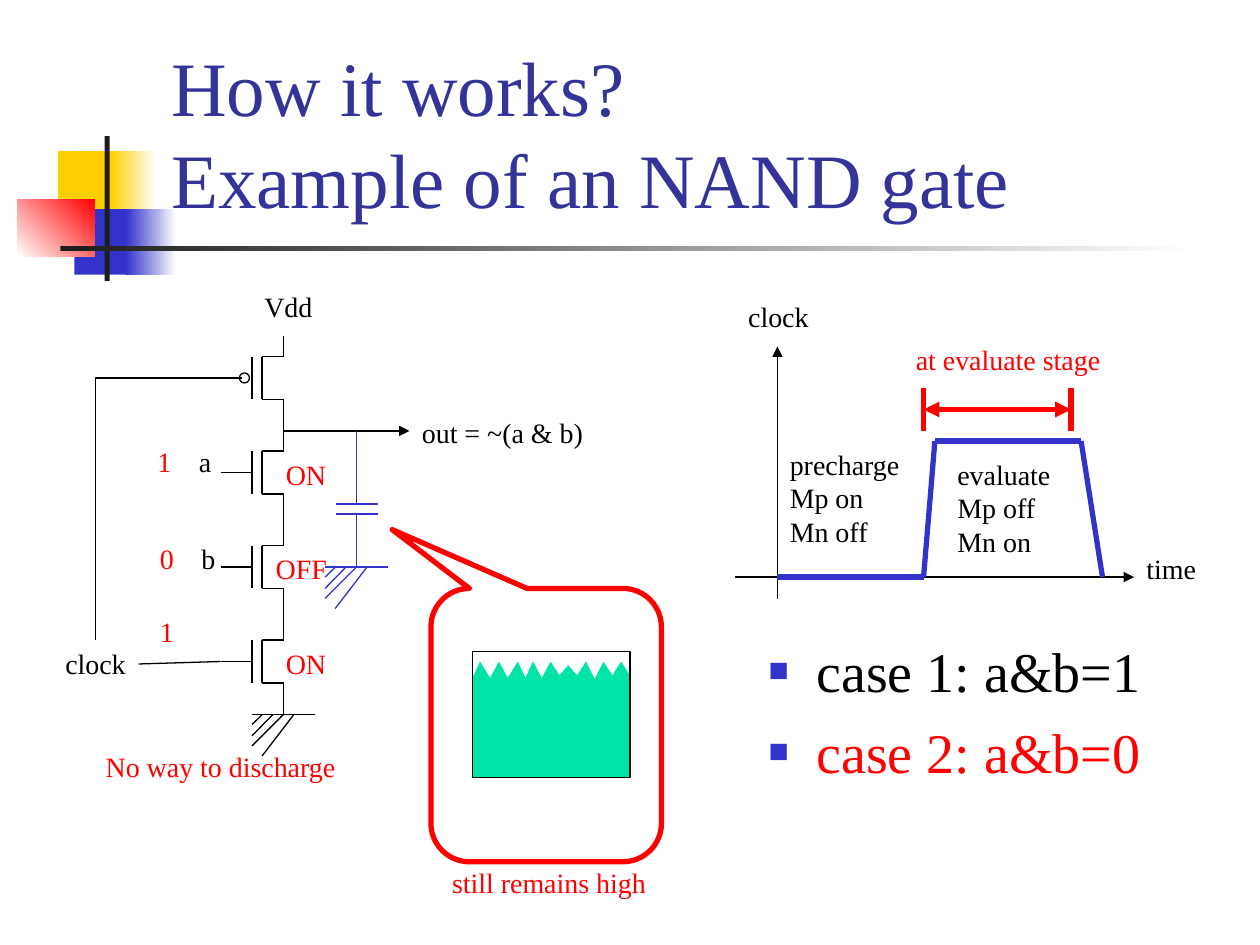
from lxml import etree
from pptx import Presentation
from pptx import util as u
from pptx.dml.color import RGBColor
from pptx.enum import shapes, text
from pptx.oxml.ns import qn

C = {"black": "000000", "white": "FFFFFF", "red": "FF0000", "blue": "3333CC",
     "title": "333399", "gold": "FFCF01", "dark": "1C1C1C", "water": "00E4A8"}
FONT = "Times New Roman"
SHAPE = shapes.MSO_SHAPE
THIN, THICK = 0.75, 3
LABEL_SLACK = 0.06  # spare width that keeps each label line whole


def rgb(name):
    return RGBColor.from_string(C[name])


def sub(parent, tag, **attrs):
    return etree.SubElement(parent, qn(tag), attrs)


def add_run(p, words, size, color):
    r = p.add_run()
    r.text = words
    r.font.name, r.font.size = FONT, u.Pt(size)
    r.font.color.rgb = rgb(color)


def add_line(box, start, end, color="black", width=THIN, head=False, tail=False,
             kind=shapes.MSO_CONNECTOR.STRAIGHT):
    c = box.shapes.add_connector(kind, *map(u.Inches, start + end))
    c.line.color.rgb = rgb(color)
    c.line.width = u.Pt(width)
    ln = c.element.spPr.find(qn("a:ln"))
    if head:
        sub(ln, "a:headEnd", type="triangle")
    if tail:
        sub(ln, "a:tailEnd", type="triangle")
    sub(c.element.spPr, "a:effectLst")
    return c


def add_lines(box, segments, **style):
    for start, end in segments:
        add_line(box, start, end, **style)


def finish(sp, fill=None, line=None, width=THIN):
    """Set fill and outline; a pair of colours makes a gradient."""
    sp.shadow.inherit = False
    if isinstance(fill, tuple):
        sp.fill.gradient()
        sp.fill.gradient_angle = 0
        for stop, color in zip(sp.fill.gradient_stops, fill):
            stop.color.rgb = rgb(color)
    elif fill:
        sp.fill.solid()
        sp.fill.fore_color.rgb = rgb(fill)
    else:
        sp.fill.background()
    if line:
        sp.line.color.rgb = rgb(line)
        sp.line.width = u.Pt(width)
    else:
        sp.line.fill.background()
    return sp


def add_preset(box, kind, at, **style):
    return finish(box.shapes.add_shape(kind, *map(u.Inches, at)), **style)


def add_label(box, x, y, w, words, color="black"):
    lines = words.split("\n")
    h = 0.1 + 0.27 * len(lines)
    tf = box.shapes.add_textbox(*map(u.Inches, (x, y, w + LABEL_SLACK, h))).text_frame
    tf.word_wrap = True
    tf.auto_size = text.MSO_AUTO_SIZE.NONE
    for i, line in enumerate(lines):
        p = tf.add_paragraph() if i else tf.paragraphs[0]
        add_run(p, line, 16, color)


def add_decoration(s):
    for at, fill in [((0.46, 1.2, 0.48, 0.52), "gold"),
                     ((0.88, 1.2, 0.36, 0.52), ("gold", "white")),
                     ((0.59, 1.66, 0.46, 0.52), "blue"),
                     ((1, 1.66, 0.4, 0.52), ("blue", "white"))]:
        add_preset(s, SHAPE.RECTANGLE, at, fill=fill)
    red = add_preset(s, SHAPE.RECTANGLE, (0.14, 1.58, 0.61, 0.46), fill=("white", "red"))
    red.fill.gradient_angle = 45
    add_preset(s, SHAPE.RECTANGLE, (0.83, 1.08, 0.04, 1.15), fill="dark")
    add_preset(s, SHAPE.RECTANGLE, (0.48, 1.95, 9, 0.04), fill=("dark", "white"))


def place(s, ph, at):
    """Position a placeholder above what is drawn so far."""
    s.shapes.element.append(ph.element)
    ph.left, ph.top, ph.width, ph.height = map(u.Inches, at)
    ph.text_frame.auto_size = text.MSO_AUTO_SIZE.NONE
    return ph.text_frame


def add_title(s):
    tf = place(s, s.shapes.title, (1.26, 0.23, 8.52, 1.6))
    tf.vertical_anchor = text.MSO_ANCHOR.BOTTOM
    p = tf.paragraphs[0]
    p.alignment = text.PP_ALIGN.LEFT
    add_run(p, "How it works?", 44, "title")
    p.add_line_break()
    add_run(p, "Example of an NAND gate", 44, "title")


def add_cases(s):
    tf = place(s, s.placeholders[1], (6, 5, 3.79, 1.71))
    for i, (words, color) in enumerate([("case 1: a&b=1", "black"), ("case 2: a&b=0", "red")]):
        p = tf.add_paragraph() if i else tf.paragraphs[0]
        p.space_before = u.Pt(8)
        add_run(p, words, 32, color)
        ppr = p._p.get_or_add_pPr()
        indent = u.Inches(0.38)
        ppr.set("marL", str(indent))
        ppr.set("indent", str(-indent))
        sub(sub(ppr, "a:buClr"), "a:srgbClr", val=C["blue"])
        sub(ppr, "a:buSzPct", val="60000")
        sub(ppr, "a:buFont", typeface=FONT)
        sub(ppr, "a:buChar", char="■")


def add_transistor(box, top, gate_from=2, gate_to=1.75):
    bottom, middle = top + 0.34, top + 0.17
    add_lines(box, [((2, top), (2, bottom)),
                    ((2.08, top), (2.08, bottom)),
                    ((2.08, top), (2.25, top)),
                    ((2.08, bottom), (2.25, bottom)),
                    ((2.25, top), (2.25, top - 0.16)),
                    ((2.25, bottom), (2.25, bottom + 0.25)),
                    ((gate_from, middle), (gate_to, middle))])


def add_ground(box, x, y, color):
    add_line(box, (x, y), (x + 0.5, y), color)
    for i, (dx, dy) in enumerate([(0, 0.08), (0, 0.17), (0, 0.25), (0.08, 0.33)], 1):
        add_line(box, (x + i / 12, y), (x + dx, y + dy), color)


def add_circuit(s):
    g = s.shapes.add_group_shape()
    add_transistor(g, 2.83, 1.92, 1.67)
    add_preset(g, SHAPE.OVAL, (1.9, 2.96, 0.08, 0.08), line="black")
    for i in range(1, 4):
        add_transistor(g, 2.83 + 0.75 * i)
    add_ground(g, 2, 5.67, "black")
    add_line(g, (2.25, 3.42), (3.25, 3.42), tail=True)
    add_line(g, (1.1, 5.27), (1.75, 5.25))
    clock = add_line(g, (1.67, 3), (0.76, 5.08), kind=shapes.MSO_CONNECTOR.ELBOW)
    guides = clock.element.spPr.find(qn("a:prstGeom")).find(qn("a:avLst"))
    sub(guides, "a:gd", name="adj1", fmla="val 100000")
    for label in [(2, 2.25, 0.58, "Vdd"), (3.25, 3.25, 1.48, "out = ~(a & b)"),
                  (1.48, 3.48, 0.3, "a"), (1.5, 4.25, 0.31, "b"), (0.42, 5.08, 0.68, "clock")]:
        add_label(g, *label)


def add_timing(s):
    g = s.shapes.add_group_shape()
    add_line(g, (5.83, 4.58), (9, 4.58), tail=True)
    add_line(g, (6.17, 4.75), (6.17, 2.75), tail=True)
    wave = [(6.17, 4.58), (7.33, 4.58), (7.42, 3.5), (8.58, 3.5), (8.75, 4.58)]
    add_lines(g, zip(wave, wave[1:]), color="blue", width=THICK)
    for label in [(9, 4.33, 0.59, "time"), (5.84, 2.33, 0.68, "clock"),
                  (6.17, 3.5, 1.07, "precharge\nMp on\nMn off"),
                  (7.5, 3.58, 0.94, "evaluate\nMp off\nMn on")]:
        add_label(g, *label)


def add_capacitor(s):
    g = s.shapes.add_group_shape()
    add_lines(g, [((2.83, 3.42), (2.83, 4)), ((2.67, 4), (3, 4)),
                  ((2.67, 4.08), (3, 4.08)), ((2.83, 4.08), (2.83, 4.5))], color="blue")
    add_ground(g, 2.58, 4.5, "blue")


def add_charge_callout(s):
    sp = add_preset(s, SHAPE.ROUNDED_RECTANGULAR_CALLOUT, (3.42, 4.67, 1.83, 2.17),
                    line="red", width=THICK)
    for i, value in enumerate((-0.668, -0.715, 0.167)):
        sp.adjustments[i] = value
    surface = [(3.75, 5.38), (3.81, 5.25), (3.89, 5.38), (3.96, 5.25), (4.03, 5.38),
               (4.11, 5.25), (4.17, 5.38), (4.23, 5.25), (4.3, 5.38), (4.37, 5.25),
               (4.44, 5.36), (4.51, 5.28), (4.58, 5.36), (4.65, 5.25), (4.72, 5.39),
               (4.79, 5.25), (4.86, 5.36), (4.93, 5.25), (5, 5.36), (5, 6.17)]
    water = s.shapes.build_freeform(u.Inches(3.75), u.Inches(6.17))
    water.add_line_segments([(u.Inches(x), u.Inches(y)) for x, y in surface])
    finish(water.convert_to_shape(), fill="water")
    add_preset(s, SHAPE.RECTANGLE, (3.75, 5.17, 1.25, 1), line="black")


def add_evaluate_span(s):
    add_lines(s, [((x, 3.08), (x, 3.42)) for x in (7.33, 8.5)], color="red", width=THICK)
    add_line(s, (7.33, 3.25), (8.5, 3.25), "red", THICK, head=True, tail=True)


def main():
    prs = Presentation()
    prs.slide_width, prs.slide_height = u.Inches(10), u.Inches(7.5)
    s = prs.slides.add_slide(prs.slide_layouts[1])
    add_decoration(s)
    add_title(s)
    add_cases(s)
    add_circuit(s)
    add_timing(s)
    add_capacitor(s)
    add_charge_callout(s)
    add_evaluate_span(s)
    for label in [(7.17, 2.67, 1.66, "at evaluate stage"),
                  (1.15, 3.48, 0.31, "1"), (1.17, 4.25, 0.31, "0"), (1.17, 4.83, 0.31, "1"),
                  (2.17, 3.58, 0.52, "ON"), (2.09, 4.33, 0.6, "OFF"), (2.17, 5.08, 0.52, "ON"),
                  (0.74, 5.9, 2.03, "No way to discharge"),
                  (3.49, 6.82, 1.74, "still remains high")]:
        add_label(s, *label, color="red")
    prs.save("out.pptx")


if __name__ == "__main__":
    main()
